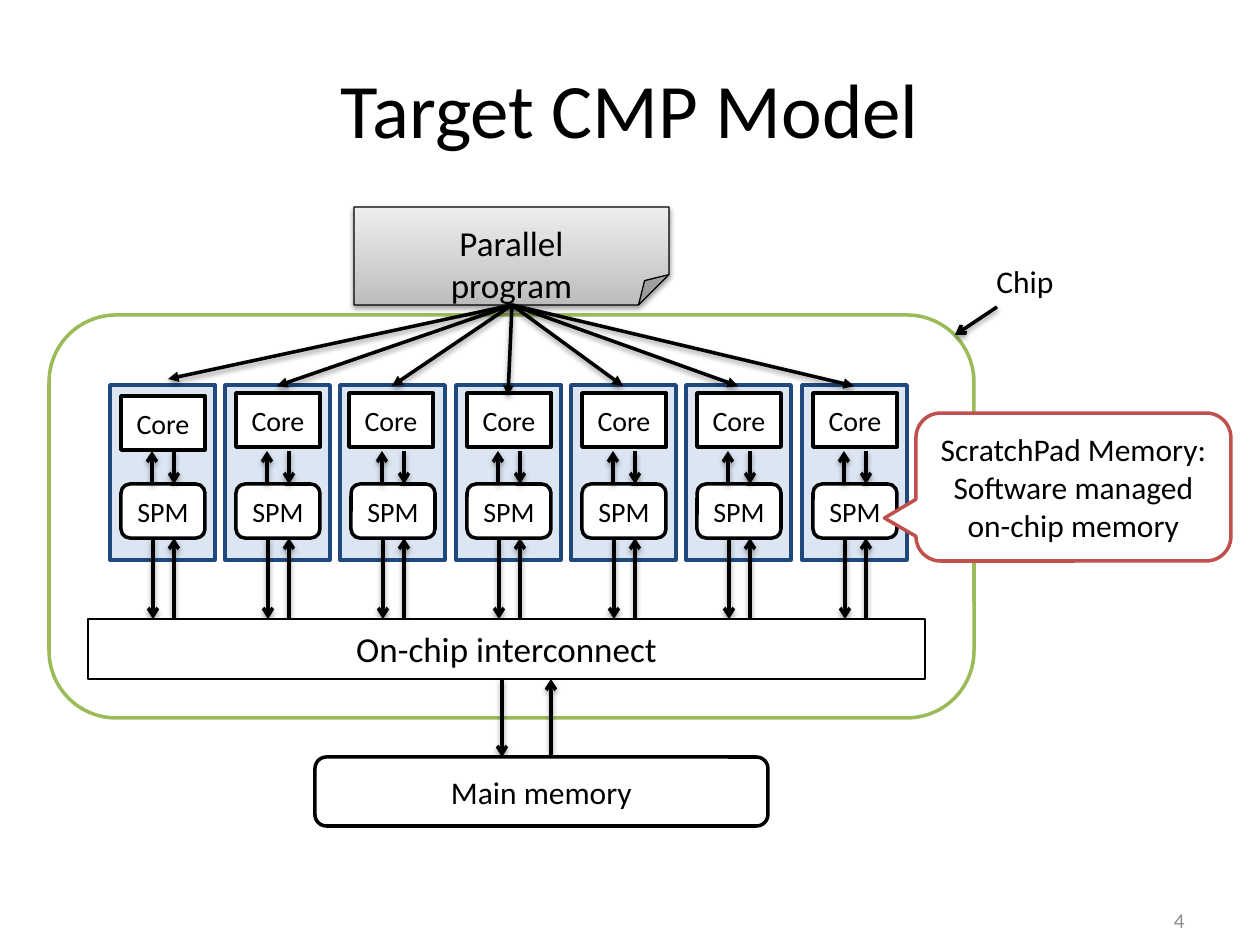
from lxml.etree import SubElement
from pptx import Presentation
from pptx.dml.color import RGBColor
from pptx.enum.shapes import MSO_CONNECTOR, MSO_SHAPE
from pptx.enum.text import MSO_ANCHOR, PP_ALIGN
from pptx.oxml.ns import qn
from pptx.util import Pt

PX = 914400 / 126
BLACK = RGBColor(0x00, 0x00, 0x00)
WHITE = RGBColor(0xFF, 0xFF, 0xFF)
GRAY = RGBColor(0x8C, 0x8C, 0x8C)
GREEN = RGBColor(0x9B, 0xBB, 0x59)
RED = RGBColor(0xC0, 0x50, 0x4D)
NAVY = RGBColor(0x1F, 0x49, 0x7D)
PALE_BLUE = RGBColor(0xDC, 0xE6, 0xF2)
DARK_SILVER = RGBColor(0xBD, 0xBD, 0xBD)
LIGHT_SILVER = RGBColor(0xEE, 0xEE, 0xEE)

prs = Presentation()
prs.slide_width, prs.slide_height = round(1260 * PX), round(945 * PX)
slide = prs.slides.add_slide(prs.slide_layouts[5])


def add_box(kind, x, y, w, h, text="", size=18, fill=WHITE, line=BLACK, width=2):
    s = slide.shapes.add_shape(kind, *[round(v * PX) for v in (x, y, w, h)])
    s.shadow.inherit = False
    s.fill.solid()
    s.fill.fore_color.rgb = fill
    s.line.color.rgb = line
    s.line.width = Pt(width)
    if text:
        tf = s.text_frame
        tf.text = text
        tf.vertical_anchor = MSO_ANCHOR.MIDDLE
        p = tf.paragraphs[0]
        p.alignment = PP_ALIGN.CENTER
        p.font.name, p.font.size = "Calibri", Pt(size)
        p.font.color.rgb = BLACK
    return s


def add_arrow(x1, y1, x2, y2, head="arrow"):
    """Draw a black arrow that keeps the soft shadow of the theme."""
    c = slide.shapes.add_connector(
        MSO_CONNECTOR.STRAIGHT, *[round(v * PX) for v in (x1, y1, x2, y2)])
    c.line.color.rgb = BLACK
    c.line.width = Pt(2)
    SubElement(c.line._get_or_add_ln(), qn("a:tailEnd"), type=head)


# Title
title = slide.shapes.title
title.left, title.top, title.width, title.height = [
    round(v * PX) for v in (63, 29, 1134, 158)]
title.text_frame.text = "Target CMP Model"
p = title.text_frame.paragraphs[0]
p.alignment = PP_ALIGN.CENTER
p.font.name, p.font.size = "Calibri", Pt(44)
p.font.color.rgb = BLACK

# Chip outline
add_box(MSO_SHAPE.ROUNDED_RECTANGLE, 49, 315, 925, 403, line=GREEN)

# Seven tiles, each with a core and its scratchpad; core offset and top vary
tile_xs = [110 + i * 692 // 6 for i in range(7)]
cores = [(11, 396), (11, 393), (9, 393)] + [(11, 393)] * 4
for x, (core_dx, core_y) in zip(tile_xs, cores):
    add_box(MSO_SHAPE.RECTANGLE, x, 385, 105, 175, fill=PALE_BLUE, line=NAVY)
    add_box(MSO_SHAPE.RECTANGLE, x + core_dx, core_y, 84, 54, "Core", 16)
    add_box(MSO_SHAPE.ROUNDED_RECTANGLE, x + 11, 484, 84, 54, "SPM", 16)
    for dx, y1, y2 in [(42, 484, 451), (64, 451, 484), (64, 619, 538), (43, 538, 619)]:
        add_arrow(x + dx, y1, x + dx, y2)

# Interconnect and main memory
add_box(MSO_SHAPE.RECTANGLE, 88, 619, 837, 60, "On-chip interconnect", 20, width=1.5)
add_arrow(502, 679, 502, 757)
add_arrow(551, 758, 551, 679)
add_box(MSO_SHAPE.ROUNDED_RECTANGLE, 315, 757, 453, 69, "Main memory")

# Scratchpad callout
callout = add_box(MSO_SHAPE.ROUNDED_RECTANGULAR_CALLOUT, 916, 413, 315, 148,
                  "ScratchPad Memory: Software managed on-chip memory", line=RED)
callout.adjustments[0] = -0.6
callout.adjustments[1] = 0.21

# Parallel program and its fan of arrows to the tiles
program = add_box(MSO_SHAPE.FOLDED_CORNER, 354, 207, 315, 98,
                  "Parallel\vprogram", 20, width=0.75)
fold = program._element.find(".//" + qn("a:avLst"))
SubElement(fold, qn("a:gd"), name="adj", fmla="val 31000")
program.shadow.inherit = True
program._element.find(".//" + qn("a:effectRef")).set("idx", "1")
program.fill.gradient()
program.fill.gradient_angle = 90
for stop, color in zip(program.fill.gradient_stops, (DARK_SILVER, LIGHT_SILVER)):
    stop.color.rgb = color
program.text_frame.vertical_anchor = MSO_ANCHOR.TOP
program.text_frame.margin_top = round(15 * PX)
program.text_frame.margin_bottom = 0

fan_ends = [(168, 379)] + [(x + 52, 386) for x in tile_xs[1:]]
fan_ends[3] = (508, 396)
for x, y in fan_ends:
    add_arrow(512, 305, x, y, "triangle")

# Chip label and slide number
add_arrow(997, 307, 955, 335)
labels = [("Chip", (984, 256, 83, 50), 18, BLACK, PP_ALIGN.LEFT, MSO_ANCHOR.TOP),
          ("4", (903, 895, 294, 50), 12, GRAY, PP_ALIGN.RIGHT, MSO_ANCHOR.MIDDLE)]
for text, place, size, color, align, anchor in labels:
    tf = slide.shapes.add_textbox(*[round(v * PX) for v in place]).text_frame
    tf.text = text
    tf.vertical_anchor = anchor
    tf.word_wrap = text != "Chip"
    p = tf.paragraphs[0]
    p.alignment = align
    p.font.name, p.font.size = "Calibri", Pt(size)
    p.font.color.rgb = color

prs.save("out.pptx")
